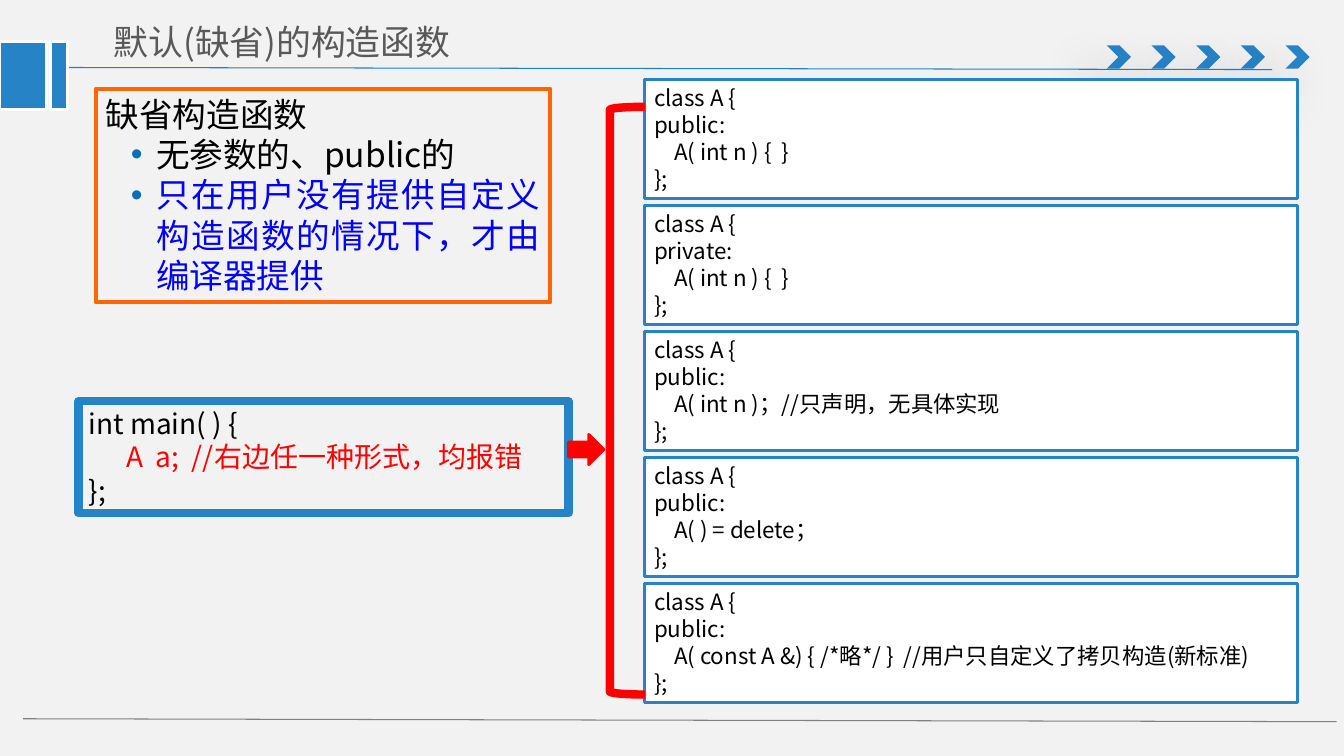
from dataclasses import dataclass

from lxml import etree
from pptx import Presentation
from pptx import util as u
from pptx.dml.color import RGBColor
from pptx.enum import shapes, text
from pptx.oxml import ns

FONT = "Noto Sans CJK SC"
BLUE, RED, WHITE, BLACK = "2683C6", "FF0000", "FFFFFF", "000000"
SHAPE = shapes.MSO_SHAPE
JUSTIFY = text.PP_ALIGN.JUSTIFY


@dataclass
class Frame:
    """Place on the slide, in points."""
    left: float
    top: float
    width: float
    height: float

    def lengths(self) -> list:
        return [u.Pt(v) for v in (self.left, self.top, self.width, self.height)]


@dataclass
class Line:
    words: str
    color: str = BLACK
    bullet: bool = False


def rgb(value: str) -> RGBColor:
    return RGBColor.from_string(value)


def add_element(parent, tag: str, **attributes: str):
    return etree.SubElement(parent, ns.qn(tag), attributes)


def add_panel(slide, frame: Frame, kind=SHAPE.RECTANGLE, fill: str = "",
              line: str = "", weight: float = 2):
    panel = slide.shapes.add_shape(kind, *frame.lengths())
    panel.shadow.inherit = False
    if fill:
        panel.fill.solid()
        panel.fill.fore_color.rgb = rgb(fill)
    else:
        panel.fill.background()
    if line:
        panel.line.color.rgb = rgb(line)
        panel.line.width = u.Pt(weight)
        add_element(panel.line._get_or_add_ln(), "a:round")
    else:
        panel.line.fill.background()
    return panel


def add_rule(slide, start: tuple, end: tuple, color: str) -> None:
    rule = slide.shapes.add_connector(
        shapes.MSO_CONNECTOR.STRAIGHT, *[u.Pt(v) for v in start + end])
    rule.line.color.rgb = rgb(color)
    rule.line.width = u.Pt(0.75)
    add_element(rule._element.spPr, "a:effectLst")


def add_soft_shadow(shape) -> None:
    effects = shape._element.spPr.find(ns.qn("a:effectLst"))
    shadow = add_element(effects, "a:outerShdw", blurRad=str(u.Pt(36)),
                         dist=str(u.Pt(24)), dir=str(130 * 60000))
    color = add_element(shadow, "a:srgbClr", val=BLACK)
    add_element(color, "a:alpha", val="38000")


def write(shape, lines: list[Line], size: float, align=text.PP_ALIGN.LEFT,
          anchor=text.MSO_ANCHOR.TOP, margins: tuple = (7.2, 3.6)) -> None:
    body = shape.text_frame
    body.word_wrap = True
    body.vertical_anchor = anchor
    body.margin_left = body.margin_right = u.Pt(margins[0])
    body.margin_top = body.margin_bottom = u.Pt(margins[1])
    for index, line in enumerate(lines):
        paragraph = body.add_paragraph() if index else body.paragraphs[0]
        paragraph.alignment = align
        if line.bullet:
            paragraph.level = 1
            properties = paragraph._p.get_or_add_pPr()
            properties.set("marL", str(u.Pt(36)))
            properties.set("indent", str(u.Pt(-18)))
            color = add_element(properties, "a:buClr")
            add_element(color, "a:srgbClr", val="046FB6")
            add_element(properties, "a:buFont", typeface="Arial")
            add_element(properties, "a:buChar", char="•")
        run = paragraph.add_run()
        run.text = line.words
        run.font.size = u.Pt(size)
        run.font.name = FONT
        run.font.color.rgb = rgb(line.color)
        add_element(run._r.get_or_add_rPr(), "a:ea", typeface=FONT)


def draw_decoration(slide) -> None:
    add_rule(slide, (38.2, 48.2), (908.6, 49.7), "2181C6")
    for index in range(5):
        chevron = add_panel(slide, Frame(790.6 + 31.9 * index, 32.4, 17.3, 16.6),
                            SHAPE.CHEVRON, BLUE)
        add_soft_shadow(chevron)
    add_rule(slide, (16.6, 513.4), (954.7, 515.5), "808080")
    for left, width in ((0, 33.1), (36, 12.2)):
        add_panel(slide, Frame(left, 29.5, width, 49), fill=BLUE, line=WHITE)


def draw_rules_of_default(slide) -> None:
    panel = add_panel(slide, Frame(68.4, 63.4, 324.7, 152.6), line="FF6600", weight=3)
    write(panel, [
        Line("缺省构造函数"),
        Line("无参数的、public的", bullet=True),
        Line("只在用户没有提供自定义构造函数的情况下，才由编译器提供", "0000FF", True),
    ], 24, JUSTIFY)


def draw_failing_classes(slide) -> None:
    variants = [
        ("public:", "A( int n ) {  }"),
        ("private:", "A( int n ) {  }"),
        ("public:", "A( int n )；//只声明，无具体实现"),
        ("public:", "A( ) = delete；"),
        ("public:", "A( const A &) { /*略*/ }  //用户只自定义了拷贝构造(新标准)"),
    ]
    for index, (access, constructor) in enumerate(variants):
        panel = add_panel(slide, Frame(460.1, 56.9 + 90 * index, 466.6, 85),
                          fill=WHITE, line=BLUE)
        code = ["class A {", access, "    " + constructor, "};"]
        write(panel, [Line(words) for words in code], 16)


def draw_main_function(slide) -> None:
    panel = add_panel(slide, Frame(56.2, 286.6, 349.9, 79.9), line=BLUE, weight=6)
    write(panel, [
        Line("int main( ) {"),
        Line("      A  a;  //右边任一种形式，均报错", RED),
        Line("};"),
    ], 20)
    add_panel(slide, Frame(435.6, 76.3, 25.2, 419.8), SHAPE.LEFT_BRACKET,
              line=RED, weight=6)
    add_panel(slide, Frame(406.1, 310.3, 25.2, 21.6), SHAPE.RIGHT_ARROW, RED, RED)


def main() -> None:
    deck = Presentation()
    deck.slide_width, deck.slide_height = u.Pt(960), u.Pt(540)
    slide = deck.slides.add_slide(deck.slide_layouts[6])
    slide.background.fill.solid()
    slide.background.fill.fore_color.rgb = rgb("F2F2F2")
    draw_decoration(slide)
    title = slide.shapes.add_textbox(*Frame(71.3, 10.1, 333.4, 39.6).lengths())
    write(title, [Line("默认(缺省)的构造函数", "595959")], 24.9,
          anchor=text.MSO_ANCHOR.MIDDLE, margins=(10.1, 5))
    draw_failing_classes(slide)
    draw_rules_of_default(slide)
    draw_main_function(slide)
    deck.save("out.pptx")


if __name__ == "__main__":
    main()
